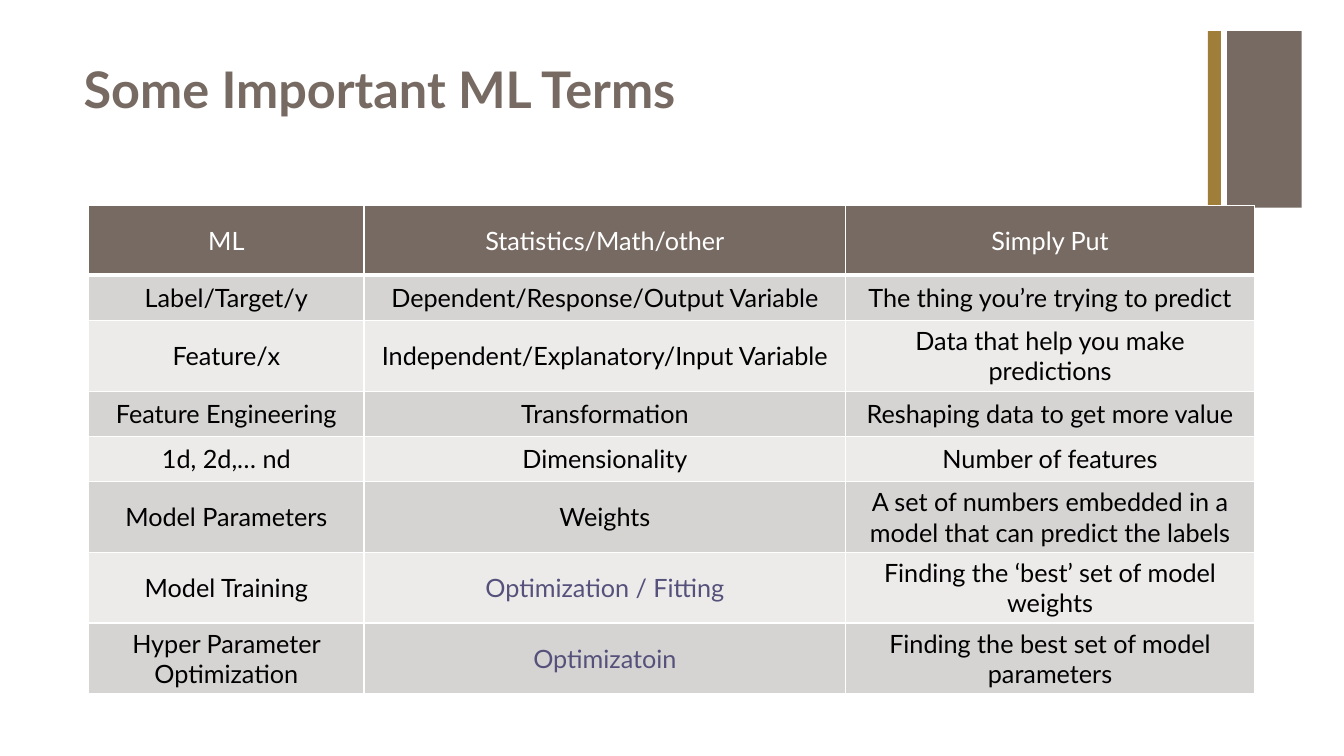
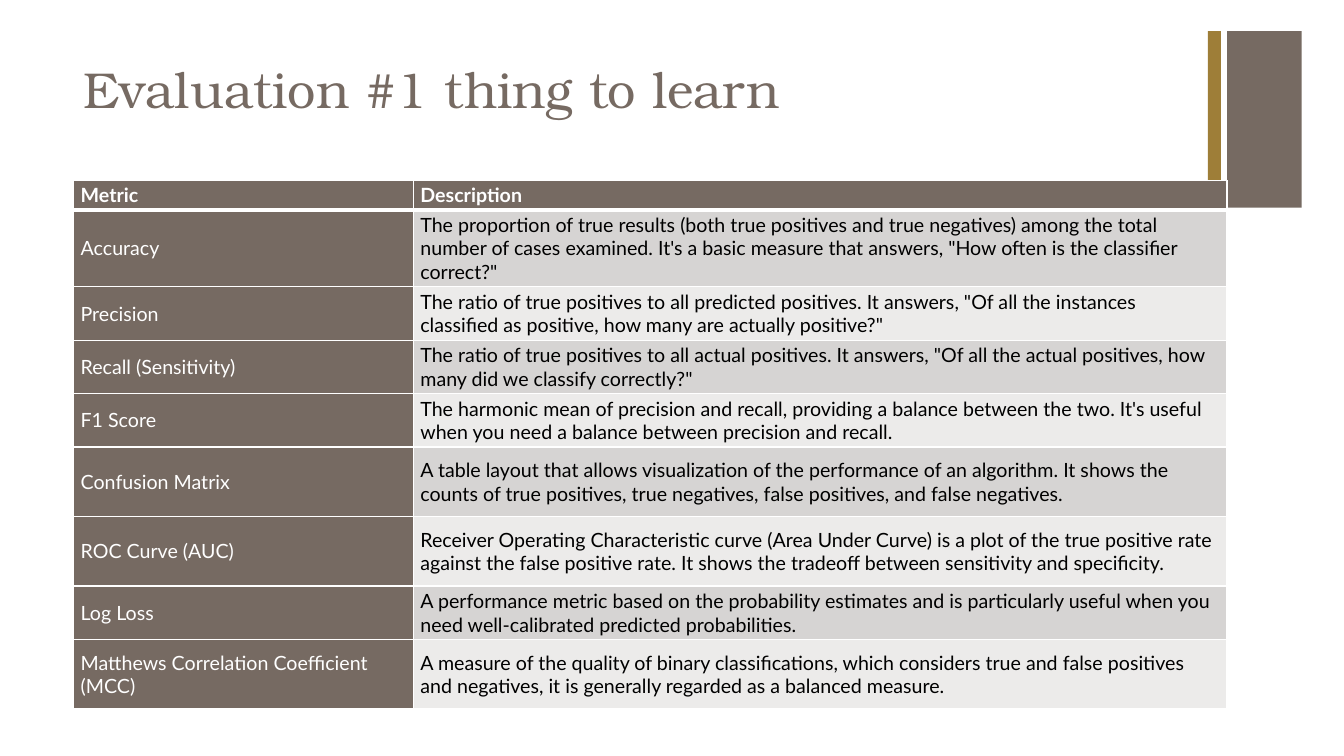
import pptx
import pptx.dml.color
import pptx.enum.shapes
import pptx.enum.text
import pptx.oxml
import pptx.oxml.ns
import pptx.util
from lxml import etree

Inches = pptx.util.Inches
Pt = pptx.util.Pt
RGB = pptx.dml.color.RGBColor
Align = pptx.enum.text.PP_ALIGN
Anchor = pptx.enum.text.MSO_ANCHOR
qn = pptx.oxml.ns.qn

BROWN = RGB(0x76, 0x6A, 0x62)
GOLD = RGB(0x9E, 0x7E, 0x38)
DARK = RGB(0xD6, 0xD4, 0xD3)
LIGHT = RGB(0xEC, 0xEB, 0xEA)
WHITE = RGB(0xFF, 0xFF, 0xFF)
BLACK = RGB(0, 0, 0)
PLUM = RGB(0x55, 0x51, 0x7B)

SANS = "Lato"
SERIF = "TeX Gyre Bonum"
BANDS = ((12.17, 0.74, BROWN), (11.98, 0.13, GOLD))

TERMS = (
    ("ML", "Statistics/Math/other", "Simply Put"),
    ("Label/Target/y", "Dependent/Response/Output Variable",
     "The thing you’re trying to predict"),
    ("Feature/x", "Independent/Explanatory/Input Variable",
     "Data that help you make predictions"),
    ("Feature Engineering", "Transformation",
     "Reshaping data to get more value"),
    ("1d, 2d,… nd", "Dimensionality", "Number of features"),
    ("Model Parameters", "Weights",
     "A set of numbers embedded in a model that can predict the labels"),
    ("Model Training", "Optimization / Fitting",
     "Finding the ‘best’ set of model weights"),
    ("Hyper Parameter Optimization", "Optimizatoin",
     "Finding the best set of model parameters"),
)

METRICS = (
    ("Metric", "Description"),
    ("Accuracy",
     "The proportion of true results (both true positives and true negatives) "
     "among the total number of cases examined. It's a basic measure that "
     "answers, \"How often is the classifier correct?\""),
    ("Precision",
     "The ratio of true positives to all predicted positives. It answers, "
     "\"Of all the instances classified as positive, how many are actually "
     "positive?\""),
    ("Recall (Sensitivity)",
     "The ratio of true positives to all actual positives. It answers, "
     "\"Of all the actual positives, how many did we classify correctly?\""),
    ("F1 Score",
     "The harmonic mean of precision and recall, providing a balance between "
     "the two. It's useful when you need a balance between precision and "
     "recall."),
    ("Confusion Matrix",
     "A table layout that allows visualization of the performance of an "
     "algorithm. It shows the counts of true positives, true negatives, false "
     "positives, and false negatives."),
    ("ROC Curve (AUC)",
     "Receiver Operating Characteristic curve (Area Under Curve) is a plot of "
     "the true positive rate against the false positive rate. It shows the "
     "tradeoff between sensitivity and specificity."),
    ("Log Loss",
     "A performance metric based on the probability estimates and is "
     "particularly useful when you need well-calibrated predicted "
     "probabilities."),
    ("Matthews Correlation Coefficient (MCC)",
     "A measure of the quality of binary classifications, which considers "
     "true and false positives and negatives, it is generally regarded as a "
     "balanced measure."),
)


def apply(item, values):
    for name, value in values.items():
        setattr(item, name, value)


def style(font, color, **values):
    apply(font, values)
    font.color.rgb = color


class Deck:
    def __init__(self):
        self.file = pptx.Presentation()
        apply(self.file, {"slide_width": Inches(13.33),
                          "slide_height": Inches(7.5)})
        self.base = self.file.slide_layouts[5]
        self.slide = None

    def start(self, text, face, bold):
        first = self.slide is None
        self.slide = self.file.slides.add_slide(self.base)
        if first:
            for left, width, color in BANDS:
                self.band(left, width, color)
        self.title(text, face, bold)

    def band(self, left, width, color):
        shape = self.slide.shapes.add_shape(
            pptx.enum.shapes.MSO_SHAPE.RECTANGLE,
            Inches(left), Inches(0.31), Inches(width), Inches(1.75))
        shape.shadow.inherit = False
        shape.fill.solid()
        shape.fill.fore_color.rgb = color
        shape.line.fill.background()
        self.base.shapes.element.append(shape.element)

    def title(self, text, face, bold):
        title = self.slide.shapes.title
        apply(title, {"left": Inches(0.73), "top": Inches(0.53),
                      "width": Inches(11.02), "height": Inches(1.22)})
        frame = title.text_frame
        apply(frame, {"text": text, "word_wrap": True,
                      "vertical_anchor": Anchor.TOP,
                      "auto_size": pptx.enum.text.MSO_AUTO_SIZE.NONE})
        para = frame.paragraphs[0]
        para.alignment = Align.LEFT
        style(para.runs[0].font, BROWN, name=face, size=Pt(36), bold=bold)

    def border(self, cell, row):
        props = cell._tc.get_or_add_tcPr()
        thick = {0: "lnB", 1: "lnT"}.get(row)
        for side in ("lnL", "lnR", "lnT", "lnB"):
            width = Pt(3 if side == thick else 1)
            line = etree.SubElement(props, qn("a:" + side), w=str(width))
            fill = etree.SubElement(line, qn("a:solidFill"))
            etree.SubElement(fill, qn("a:srgbClr"), val=str(WHITE))

    def cell(self, cell, row, text, fill, color, size, align, bold, inset):
        self.border(cell, row)
        side, edge = map(Inches, inset)
        apply(cell, {"text": text, "vertical_anchor": Anchor.MIDDLE,
                     "margin_left": side, "margin_right": side,
                     "margin_top": edge, "margin_bottom": edge})
        cell.fill.solid()
        cell.fill.fore_color.rgb = fill
        para = cell.text_frame.paragraphs[0]
        para.alignment = align
        style(para.runs[0].font, color, name=SANS, size=Pt(size), bold=bold)

    def table(self, data, left, top, cols, rows, size, align, inset,
              bold=False, side=False, marks=()):
        table = self.slide.shapes.add_table(
            len(rows), len(cols), Inches(left), Inches(top),
            Inches(sum(cols)), Inches(sum(rows))).table
        apply(table, {"horz_banding": False, "first_col": side})
        for col, width in zip(table.columns, cols):
            col.width = Inches(width)
        for row, height in zip(table.rows, rows):
            row.height = Inches(height)
        for y, line in enumerate(data):
            for x, text in enumerate(line):
                head = y == 0 or (side and x == 0)
                fill = BROWN if head else DARK if y % 2 else LIGHT
                color = WHITE if head else PLUM if text in marks else BLACK
                self.cell(table.cell(y, x), y, text, fill, color, size,
                          align, bold and y == 0, inset)


def main():
    deck = Deck()
    deck.start("Some Important ML Terms", SANS, True)
    deck.table(TERMS, 0.88, 2.04, (2.73, 4.78, 4.05),
               (0.69, 0.45, 0.7, 0.45, 0.45, 0.7, 0.7, 0.7),
               18, Align.CENTER, (0.1, 0.05),
               marks=("Optimization / Fitting", "Optimizatoin"))
    deck.start("Evaluation #1 thing to learn", SERIF, False)
    deck.table(METRICS, 0.73, 1.79, (3.37, 8.07),
               (0.29, 0.69, 0.53, 0.53, 0.53, 0.69, 0.69, 0.53, 0.69),
               14, Align.LEFT, (0.07, 0.03), bold=True, side=True)
    deck.file.save("out.pptx")


if __name__ == "__main__":
    main()
